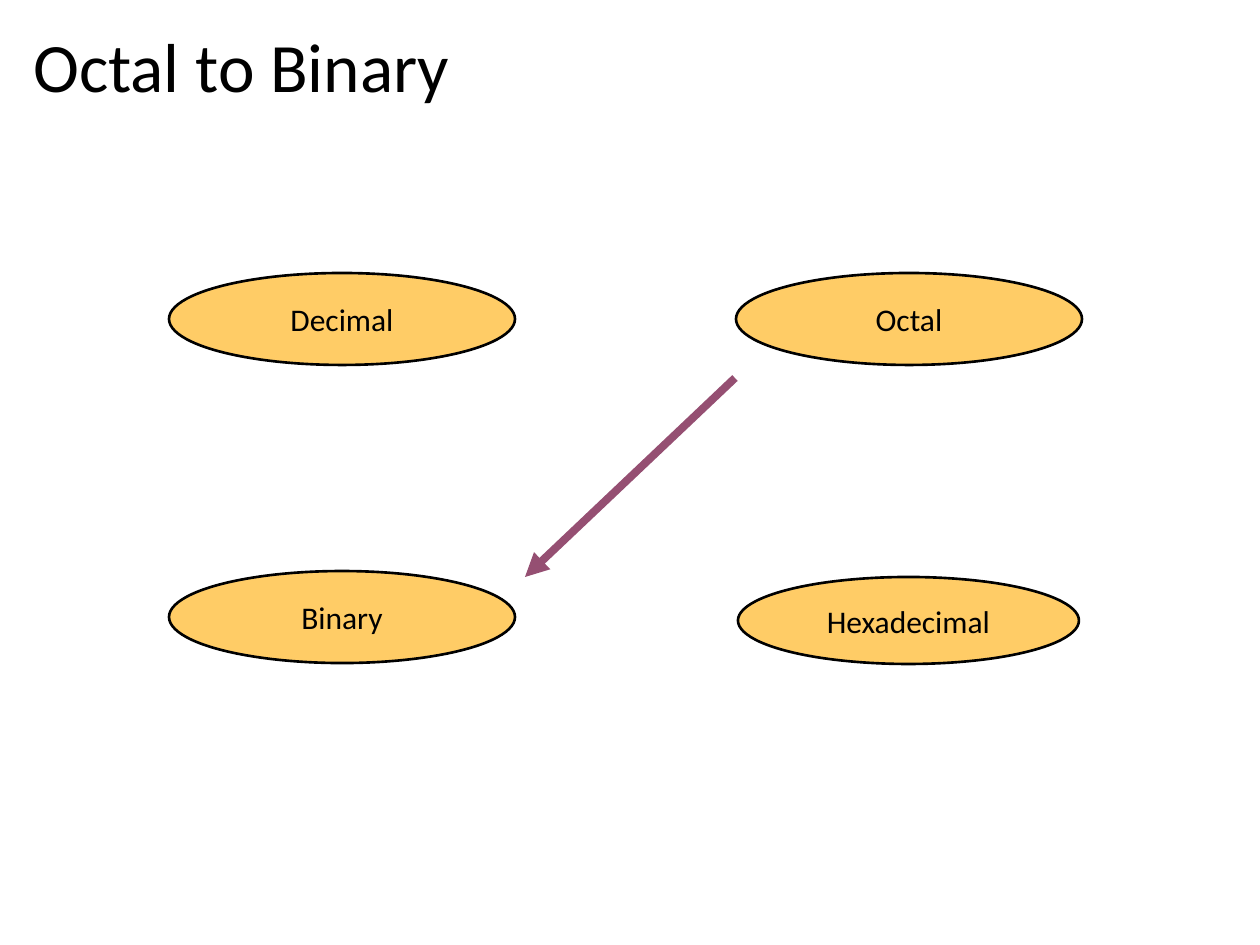
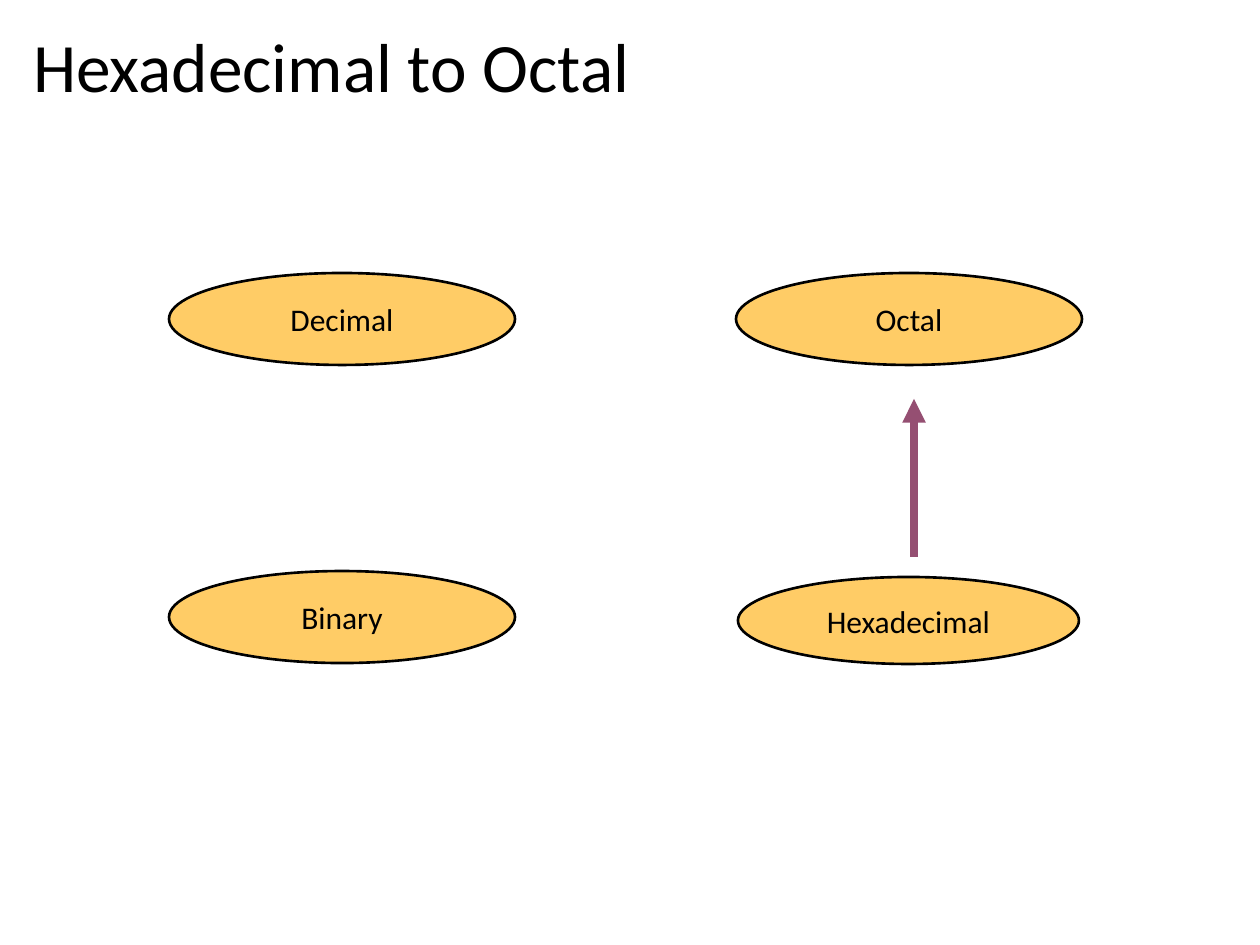
from typing import Any, NamedTuple

from lxml import etree
from pptx import Presentation, util as u
from pptx.dml.color import RGBColor
from pptx.enum import shapes, text
from pptx.oxml.ns import qn

EMU_PER_PX = 914400 / 126
SLIDE_SIZE = (1260, 945)
TITLE_BOX = (21, 23, 1212, 93)
BLANK_LAYOUT = 6
COLOURS = {"ink": "000000", "oval": "FFCC66", "arrow": "954F72"}
FONT = "Calibri"
TITLE_PARAGRAPH = {"line_spacing": 0.9, "alignment": text.PP_ALIGN.LEFT}
OVAL_PARAGRAPH = {"alignment": text.PP_ALIGN.CENTER}
TITLE_FRAME = {"word_wrap": True, "vertical_anchor": text.MSO_ANCHOR.MIDDLE}
OVAL_FRAME = {"word_wrap": False, "vertical_anchor": text.MSO_ANCHOR.MIDDLE}


class NumberSystem(NamedTuple):
    name: str
    left: int
    top: int
    width: int = 346
    height: int = 92
    auto_size: Any = text.MSO_AUTO_SIZE.NONE


class Conversion(NamedTuple):
    title: str
    start: tuple[int, int]
    end: tuple[int, int]


NUMBER_SYSTEMS = [
    NumberSystem("Hexadecimal", 738, 577, 341, 87, text.MSO_AUTO_SIZE.SHAPE_TO_FIT_TEXT),
    NumberSystem("Decimal", 169, 273),
    NumberSystem("Octal", 736, 273),
    NumberSystem("Binary", 169, 571),
]
CONVERSIONS = [
    Conversion("Octal to Binary", (735, 378), (525, 577)),
    Conversion("Hexadecimal to Octal", (914, 557), (914, 399)),
]


def px(*lengths: int) -> list[u.Emu]:
    return [u.Emu(round(length * EMU_PER_PX)) for length in lengths]


def colour(name: str) -> RGBColor:
    return RGBColor.from_string(COLOURS[name])


def set_attributes(target: Any, values: dict[str, Any]) -> None:
    for name, value in values.items():
        setattr(target, name, value)


def write_text(shape: Any, words: str, size: float,
               frame_format: dict[str, Any], paragraph_format: dict[str, Any]) -> None:
    set_attributes(shape.text_frame, frame_format)
    paragraph = shape.text_frame.paragraphs[0]
    set_attributes(paragraph, paragraph_format)
    run = paragraph.add_run()
    run.text = words
    set_attributes(run.font, {"name": FONT, "size": u.Pt(size)})
    run.font.color.rgb = colour("ink")


def set_line(line: Any, colour_name: str, width: float) -> None:
    line.color.rgb = colour(colour_name)
    line.width = u.Pt(width)


def add_title(slide: Any, words: str) -> None:
    title = slide.shapes.add_textbox(*px(*TITLE_BOX))
    write_text(title, words, 39.6, TITLE_FRAME, TITLE_PARAGRAPH)


def add_oval(slide: Any, system: NumberSystem) -> None:
    oval = slide.shapes.add_shape(
        shapes.MSO_SHAPE.OVAL, *px(system.left, system.top, system.width, system.height))
    oval.shadow.inherit = False
    oval.fill.solid()
    oval.fill.fore_color.rgb = colour("oval")
    set_line(oval.line, "ink", 1.5)
    frame_format = OVAL_FRAME | {"auto_size": system.auto_size}
    write_text(oval, system.name, 18, frame_format, OVAL_PARAGRAPH)


def add_arrow(slide: Any, conversion: Conversion) -> None:
    arrow = slide.shapes.add_connector(
        shapes.MSO_CONNECTOR.STRAIGHT, *px(*conversion.start, *conversion.end))
    set_line(arrow.line, "arrow", 4.5)
    properties = arrow.element.spPr
    etree.SubElement(properties.find(qn("a:ln")), qn("a:tailEnd"), type="triangle")
    etree.SubElement(properties, qn("a:effectLst"))


def main() -> None:
    presentation = Presentation()
    presentation.slide_width, presentation.slide_height = px(*SLIDE_SIZE)
    for conversion in CONVERSIONS:
        slide = presentation.slides.add_slide(presentation.slide_layouts[BLANK_LAYOUT])
        add_title(slide, conversion.title)
        for system in NUMBER_SYSTEMS:
            add_oval(slide, system)
        add_arrow(slide, conversion)
    presentation.save("out.pptx")


if __name__ == "__main__":
    main()
